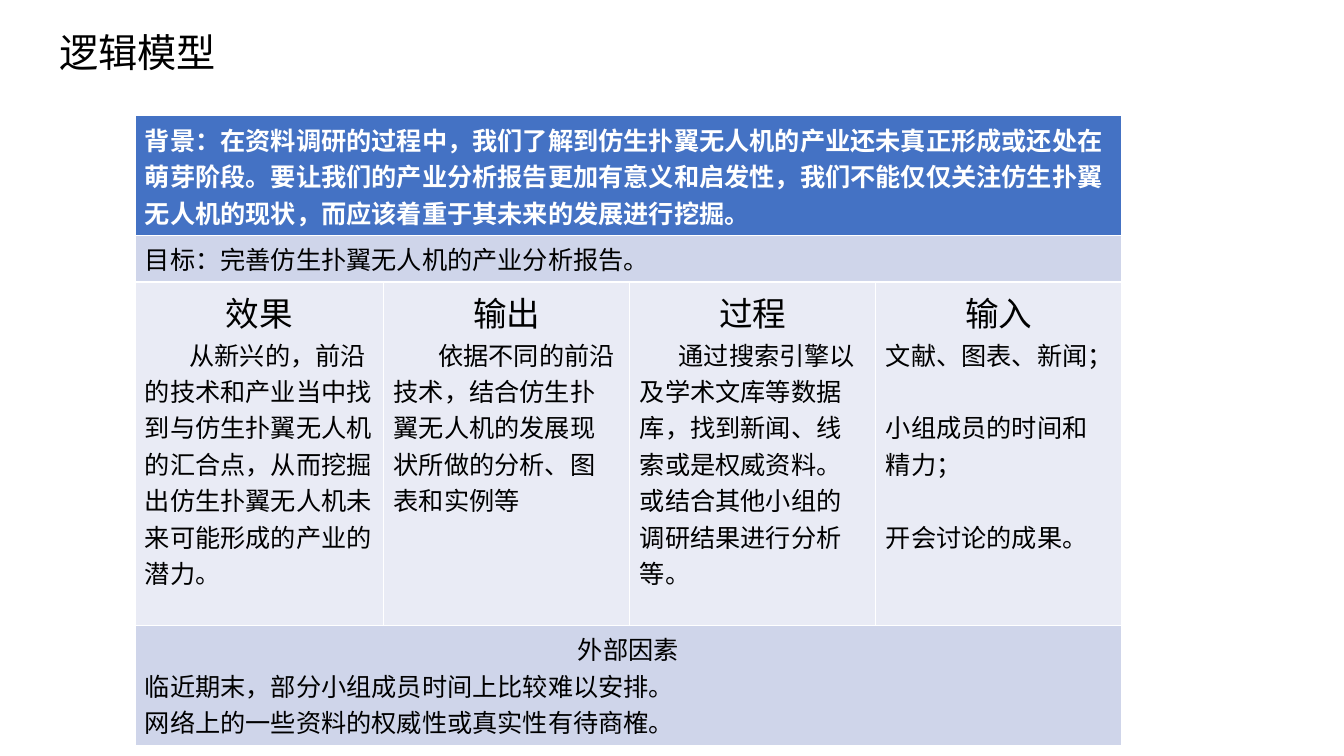
import lxml.etree
import pptx
import pptx.dml.color
import pptx.enum.lang
import pptx.enum.text
import pptx.oxml.ns
import pptx.util

Cm, Pt = pptx.util.Cm, pptx.util.Pt
RGBColor = pptx.dml.color.RGBColor
ALIGN = pptx.enum.text.PP_ALIGN
ANCHOR = pptx.enum.text.MSO_ANCHOR

BLACK = RGBColor(0x00, 0x00, 0x00)
WHITE = RGBColor(0xFF, 0xFF, 0xFF)
BLUE = RGBColor(0x44, 0x72, 0xC4)
LAVENDER = RGBColor(0xCF, 0xD5, 0xEA)
PALE = RGBColor(0xE9, 0xEB, 0xF5)

FONT = "Noto Sans CJK SC"
CHINESE = pptx.enum.lang.MSO_LANGUAGE_ID.SIMPLIFIED_CHINESE
BODY = {"name": FONT, "size": Pt(18), "bold": False, "language_id": CHINESE}
BACKGROUND = {**BODY, "bold": True}
HEADING = {**BODY, "size": Pt(24)}
TITLE = {**BODY, "size": Pt(28)}
LEFT = {"alignment": ALIGN.LEFT}
CENTERED = {"alignment": ALIGN.CENTER}
SPACED = {**LEFT, "space_before": Pt(26)}

COLUMN_WIDTHS = [6.27, 6.2, 6.2, 6.2]
ROW_HEIGHTS = [3.0, 1.17, 8.66, 3.0]

BACKGROUND_TEXT = (
    "背景：在资料调研的过程中，我们了解到仿生扑翼无人机的产业还未真正形成或还处在萌芽阶段。"
    "要让我们的产业分析报告更加有意义和启发性，我们不能仅仅关注仿生扑翼无人机的现状，"
    "而应该着重于其未来的发展进行挖掘。"
)
GOAL_TEXT = "目标：完善仿生扑翼无人机的产业分析报告。"
STAGES = [
    ("效果", 1.12, ["从新兴的，前沿的技术和产业当中找到与仿生扑翼无人机的汇合点，"
                  "从而挖掘出仿生扑翼无人机未来可能形成的产业的潜力。"]),
    ("输出", 1.12, ["依据不同的前沿技术，结合仿生扑翼无人机的发展现状所做的分析、图表和实例等"]),
    ("过程", 0.98, ["通过搜索引擎以及学术文库等数据库，找到新闻、线索或是权威资料。"
                  "或结合其他小组的调研结果进行分析等。"]),
    ("输入", 0, ["文献、图表、新闻；", "小组成员的时间和精力；", "开会讨论的成果。"]),
]
EXTERNAL_FACTORS = [
    "临近期末，部分小组成员时间上比较难以安排。",
    "网络上的一些资料的权威性或真实性有待商榷。",
]


def apply_format(target, values):
    for attribute, value in values.items():
        setattr(target, attribute, value)


def write_paragraph(paragraph, text, font, layout, color=BLACK, indent=0):
    apply_format(paragraph, layout)
    if indent:
        properties = paragraph._p.get_or_add_pPr()
        properties.set("marL", "0")
        properties.set("indent", str(Cm(indent)))
    run = paragraph.add_run()
    run.text = text
    apply_format(run.font, font)
    run.font.color.rgb = color
    east_asian = lxml.etree.Element(pptx.oxml.ns.qn("a:ea"), typeface=FONT)
    run._r.rPr.find(pptx.oxml.ns.qn("a:latin")).addnext(east_asian)


def write_cell(cell, lines):
    frame = cell.text_frame
    for number, line in enumerate(lines):
        paragraph = frame.add_paragraph() if number else frame.paragraphs[0]
        write_paragraph(paragraph, *line)


def add_title(slide, text):
    title = slide.shapes.title
    apply_format(title, {"left": Cm(-0.64), "top": Cm(0.71),
                         "width": Cm(8.2), "height": Cm(1.83)})
    apply_format(title.text_frame, {
        "vertical_anchor": ANCHOR.TOP, "word_wrap": True,
        "auto_size": pptx.enum.text.MSO_AUTO_SIZE.NONE})
    write_paragraph(title.text_frame.paragraphs[0], text, TITLE,
                    {**CENTERED, "line_spacing": 0.9})


def add_grid(slide, row_fills, full_rows):
    frame = slide.shapes.add_table(
        len(ROW_HEIGHTS), len(COLUMN_WIDTHS), Cm(3.4), Cm(2.92),
        Cm(sum(COLUMN_WIDTHS)), Cm(sum(ROW_HEIGHTS)))
    grid = frame.table
    for column, width in zip(grid.columns, COLUMN_WIDTHS):
        column.width = Cm(width)
    for row, height, fill in zip(grid.rows, ROW_HEIGHTS, row_fills):
        row.height = Cm(height)
        for cell in row.cells:
            cell.fill.solid()
            cell.fill.fore_color.rgb = fill
    for row in full_rows:
        grid.cell(row, 0).merge(grid.cell(row, len(COLUMN_WIDTHS) - 1))
    return grid


def fill_logic_model(grid):
    write_cell(grid.cell(0, 0), [(BACKGROUND_TEXT, BACKGROUND, LEFT, WHITE)])
    write_cell(grid.cell(1, 0), [(GOAL_TEXT, BODY, LEFT)])
    for column, (heading, indent, (first, *others)) in enumerate(STAGES):
        write_cell(grid.cell(2, column), [
            (heading, HEADING, CENTERED),
            (first, BODY, LEFT, BLACK, indent),
            *[(text, BODY, SPACED) for text in others]])
    write_cell(grid.cell(3, 0), [
        ("外部因素", BODY, CENTERED),
        *[(factor, BODY, LEFT) for factor in EXTERNAL_FACTORS]])


def main():
    deck = pptx.Presentation()
    apply_format(deck, {"slide_width": Cm(33.87), "slide_height": Cm(19.05)})
    slide = deck.slides.add_slide(deck.slide_layouts.get_by_name("Title Only"))
    add_title(slide, "逻辑模型")
    fill_logic_model(add_grid(slide, [BLUE, LAVENDER, PALE, LAVENDER], [0, 1, 3]))
    deck.save("out.pptx")


main()
